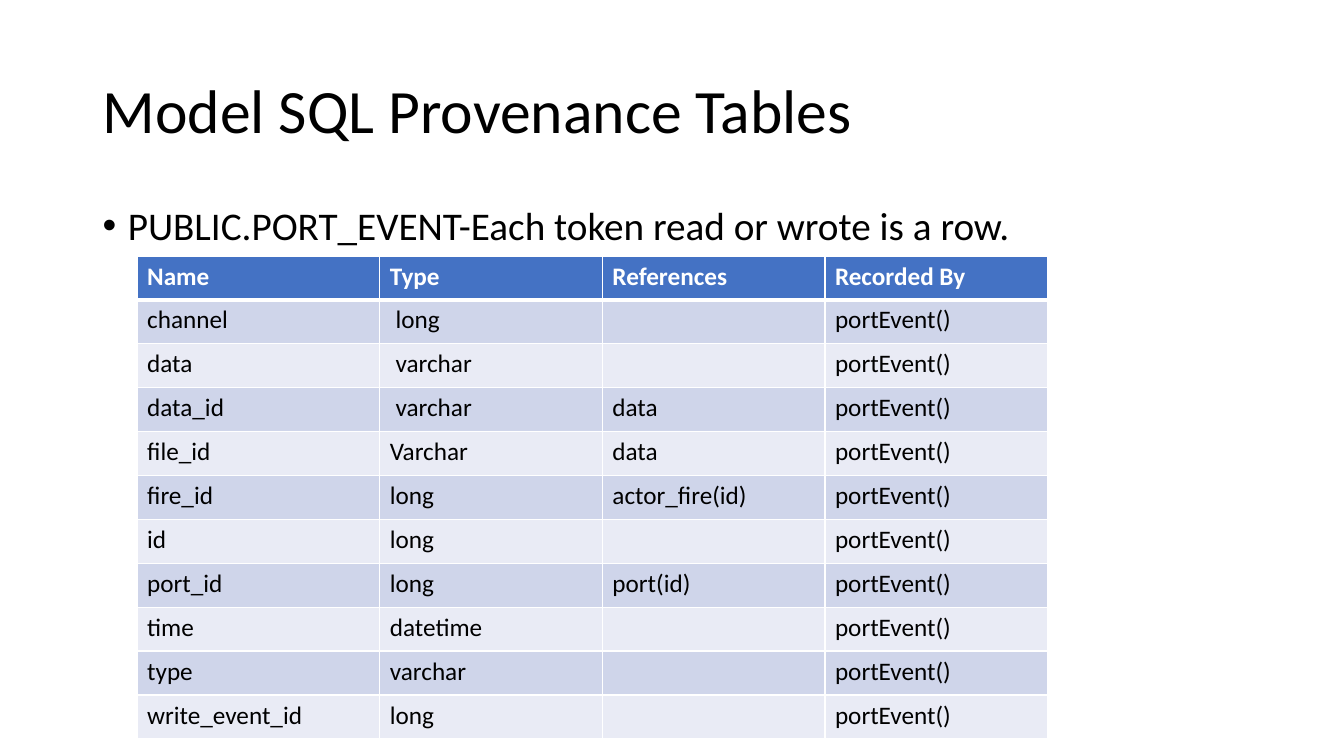
from typing import Any, NamedTuple

from lxml.etree import SubElement
from pptx import Presentation
from pptx.dml.color import RGBColor
from pptx.enum.text import MSO_ANCHOR, MSO_AUTO_SIZE, PP_ALIGN
from pptx.oxml.ns import qn
from pptx.util import Inches, Pt

BLACK = RGBColor(0x00, 0x00, 0x00)
WHITE = RGBColor(0xFF, 0xFF, 0xFF)
BLUE = RGBColor(0x44, 0x72, 0xC4)
BANDS = (RGBColor(0xE9, 0xEB, 0xF5), RGBColor(0xCF, 0xD5, 0xEA))
FACE = "Calibri"
WIDE, HIGH = Inches(13.33), Inches(7.5)


class Box(NamedTuple):
    """A place on the slide, in inches."""
    left: float
    top: float
    width: float
    height: float


class Field(NamedTuple):
    """One column of the port event table."""
    name: str
    kind: str
    refs: str = ""
    source: str = "portEvent()"


TITLE = Box(0.92, 0.4, 11.5, 1.45)
BODY = Box(0.92, 2, 11.5, 4.76)
GRID = Box(1.36, 2.54, 9.03, 4.79)
SHARES = (2.41, 2.21, 2.21, 2.21)
HEAD = Field("Name", "Type", "References", "Recorded By")
FIELDS = (
    Field("channel", " long"),
    Field("data", " varchar"),
    Field("data_id", " varchar", "data"),
    Field("file_id", "Varchar", "data"),
    Field("fire_id", "long", "actor_fire(id)"),
    Field("id", "long"),
    Field("port_id", "long", "port(id)"),
    Field("time", "datetime"),
    Field("type", "varchar"),
    Field("write_event_id", "long"),
)


def apply(item: Any, values: dict[str, Any]) -> None:
    """Set each named value on the item."""
    for name, value in values.items():
        setattr(item, name, value)


def place(shape: Any, box: Box) -> None:
    """Move and size a shape."""
    apply(shape, {key: Inches(size) for key, size in box._asdict().items()})


def write(frame: Any, text: str, size: int, color: RGBColor = BLACK,
          bold: bool = False, **form: Any) -> Any:
    """Fill a frame with one styled paragraph and return it."""
    para = frame.paragraphs[0]
    apply(para, form)
    run = para.add_run() if text else para
    if text:
        run.text = text
    apply(run.font, {"name": FACE, "size": Pt(size), "bold": bold})
    run.font.color.rgb = color
    return para


def bullet(para: Any, inset: float) -> None:
    """Give a paragraph a round bullet and a hanging indent."""
    props = para._p.get_or_add_pPr()
    props.set("marL", str(Inches(inset)))
    props.set("indent", str(-Inches(inset)))
    SubElement(props, qn("a:buFont"), typeface="Arial")
    SubElement(props, qn("a:buChar"), char="•")


def edge(cell: Any, top: int, bottom: int) -> None:
    """Draw white borders round a cell, ahead of its fill."""
    props = cell._tc.get_or_add_tcPr()
    sides = {"L": 1, "R": 1, "T": top, "B": bottom}
    for spot, (side, width) in enumerate(sides.items()):
        line = SubElement(props, qn(f"a:ln{side}"), w=str(Pt(width)))
        fill = SubElement(line, qn("a:solidFill"))
        SubElement(fill, qn("a:srgbClr"), val=str(WHITE))
        props.insert(spot, line)


def fill_row(table: Any, row: int, field: Field) -> None:
    """Write and colour one row of the table."""
    head = row == 0
    for col, text in enumerate(field):
        cell = table.cell(row, col)
        cell.fill.solid()
        cell.fill.fore_color.rgb = BLUE if head else BANDS[row % 2]
        edge(cell, 3 if row == 1 else 1, 3 if head else 1)
        write(cell.text_frame, text, 18, WHITE if head else BLACK, head)


def add_grid(slide: Any) -> None:
    """Add the table of port event fields."""
    rows = (HEAD, *FIELDS)
    table = slide.shapes.add_table(
        len(rows), len(SHARES), *map(Inches, GRID)).table
    for column, share in zip(table.columns, SHARES):
        column.width = Inches(GRID.width * share / sum(SHARES))
    for row, field in enumerate(rows):
        table.rows[row].height = Inches(GRID.height / len(rows))
        fill_row(table, row, field)


def main() -> None:
    """Build and save the slide."""
    deck = Presentation()
    apply(deck, {"slide_width": WIDE, "slide_height": HIGH})
    slide = deck.slides.add_slide(deck.slide_layouts[5])
    title = slide.shapes.title
    place(title, TITLE)
    apply(title.text_frame, {"word_wrap": True,
                             "auto_size": MSO_AUTO_SIZE.NONE,
                             "vertical_anchor": MSO_ANCHOR.MIDDLE})
    write(title.text_frame, "Model SQL Provenance Tables", 44,
          alignment=PP_ALIGN.LEFT, line_spacing=0.9)
    body = slide.shapes.add_textbox(*map(Inches, BODY)).text_frame
    body.word_wrap = True
    para = write(body, "PUBLIC.PORT_EVENT-Each token read or wrote is a row.",
                 28, line_spacing=0.9, space_before=Pt(10))
    bullet(para, 0.25)
    add_grid(slide)
    deck.save("out.pptx")


main()
